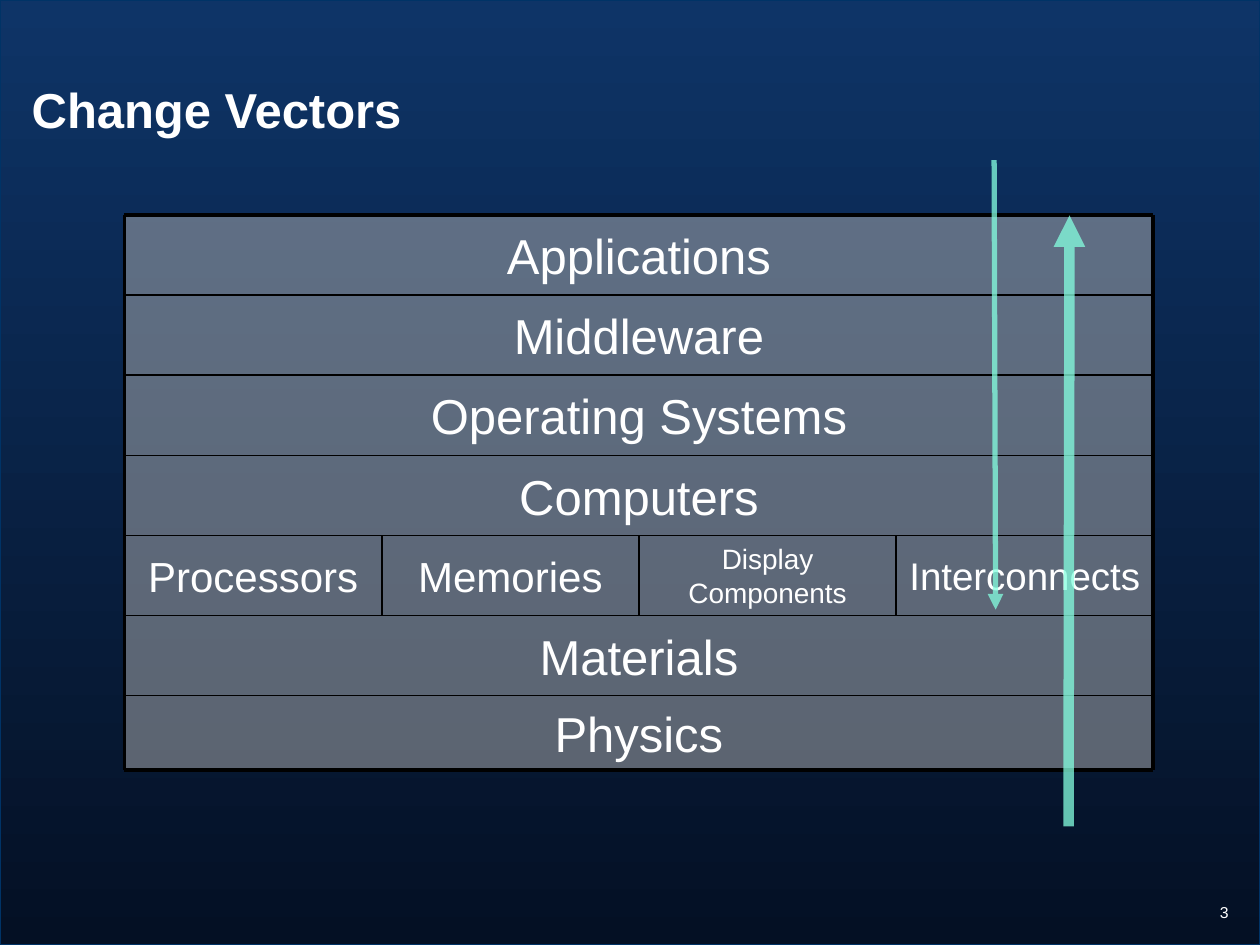
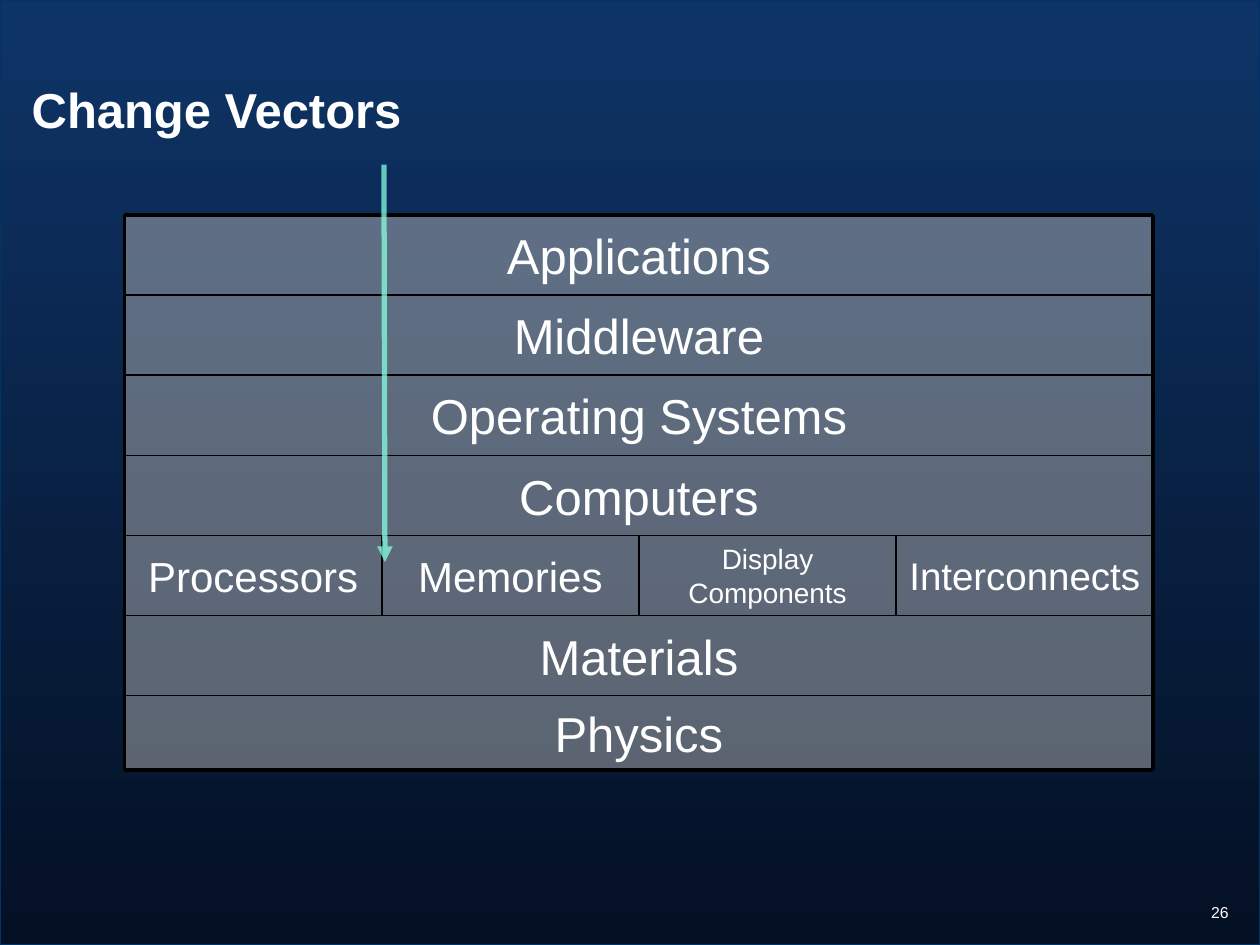
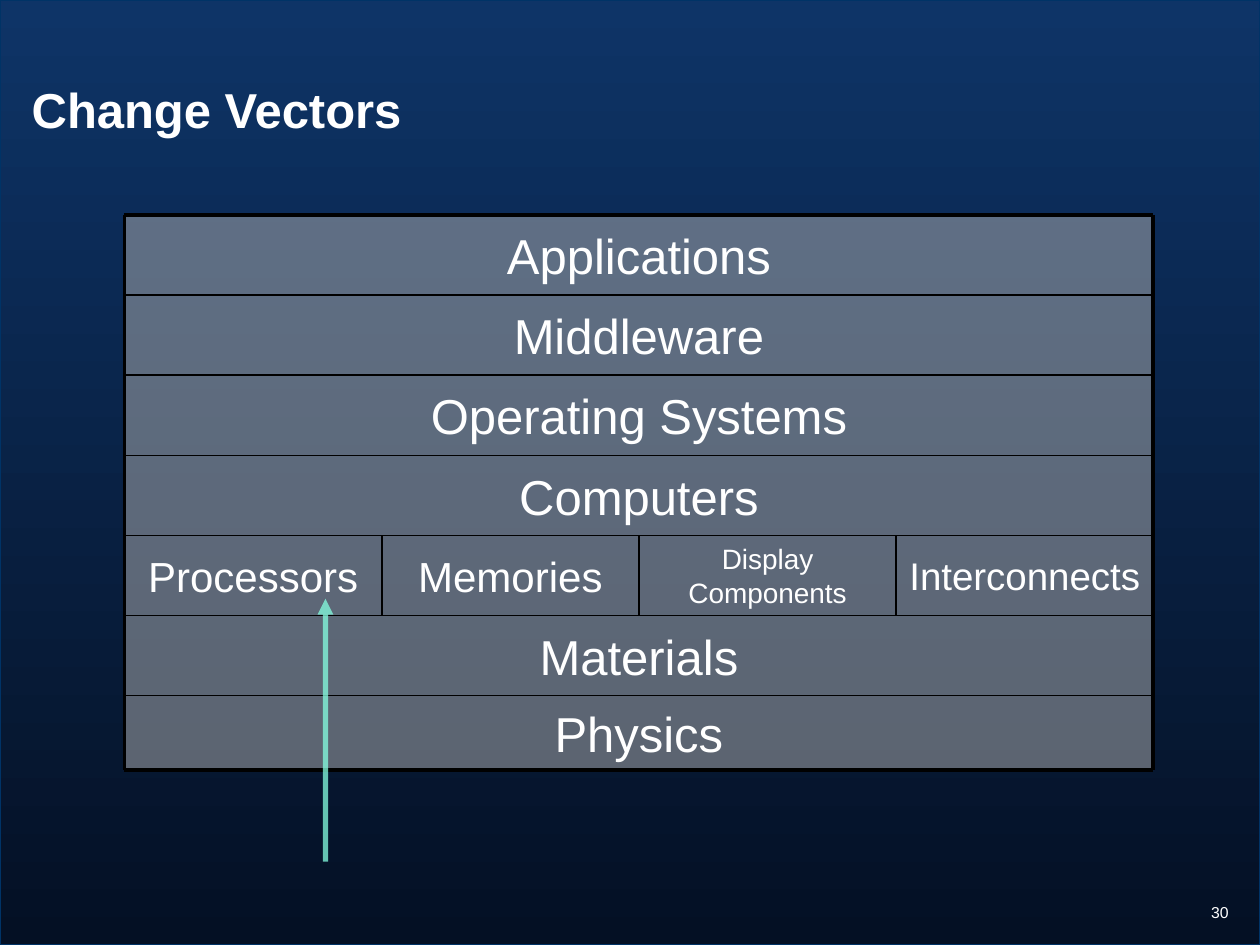
"""Builds three slides of a technology stack crossed by change vectors."""
from lxml import etree
from pptx import Presentation
from pptx import util as u
from pptx.dml.color import RGBColor
from pptx.enum import shapes, text
from pptx.oxml.ns import qn


class Theme:
    font = "Arial"
    white = RGBColor.from_string("FFFFFF")
    black = RGBColor.from_string("000000")
    sky = RGBColor.from_string("0E3467")
    night = RGBColor.from_string("041024")
    edge = RGBColor.from_string("003366")
    layer = RGBColor.from_string("B2B2B2")
    vector = RGBColor.from_string("85FFE0")
    heading, component, wide_component, small_component, number = 28, 24, 22, 16, 9
    frame, divider, hairline = 2.25, 1, 0.75


def write(box, words, size, align, anchor, side=0, end=0.13, bold=False):
    frame = box.text_frame
    frame.word_wrap = True
    frame.vertical_anchor = anchor
    frame.margin_left = frame.margin_right = u.Cm(side)
    frame.margin_top = frame.margin_bottom = u.Cm(end)
    line = frame.paragraphs[0]
    line.alignment = align
    run = line.add_run()
    run.text = words
    run.font.name = Theme.font
    run.font.size = u.Pt(size)
    run.font.bold = bold
    run.font.color.rgb = Theme.white


def draw_line(parent, start, end, weight, colour=Theme.black):
    line = parent.add_connector(shapes.MSO_CONNECTOR.STRAIGHT, *map(u.Cm, start + end))
    line.line.color.rgb = colour
    line.line.width = u.Pt(weight)
    etree.SubElement(line.element.spPr, qn("a:effectLst"))
    return line


left, right, top, physics_top, bottom = 2.51, 23.25, 4.34, 14.02, 15.53
row_step = (physics_top - top) / 6
column_step = (right - left) / 4
row_edges = [top + row_step * i for i in range(7)] + [bottom]
column_edges = [left + column_step * i for i in range(5)]

layers = [
    [("Applications", Theme.heading)],
    [("Middleware", Theme.heading)],
    [("Operating Systems", Theme.heading)],
    [("Computers", Theme.heading)],
    [("Processors", Theme.component), ("Memories", Theme.component),
     ("Display Components", Theme.small_component),
     ("Interconnects", Theme.wide_component)],
    [("Materials", Theme.heading)],
    [("Physics", Theme.heading)],
]
pages = [
    ("3", [((21.54, 16.66), (21.56, 4.34), 6), ((20.04, 3.23), (20.07, 12.29), 3)]),
    ("26", [((7.74, 3.32), (7.76, 11.33), 3)]),
    ("30", [((6.56, 17.37), (6.56, 12.07), 3)]),
]

deck = Presentation()
deck.slide_width, deck.slide_height = u.Cm(25.4), u.Cm(19.05)

for page_number, vectors in pages:
    slide = deck.slides.add_slide(deck.slide_layouts[6])
    sky = slide.background.fill
    sky.gradient()
    sky.gradient_angle = 270
    for stop, colour in zip(sky.gradient_stops, (Theme.sky, Theme.night)):
        stop.color.rgb = colour

    edge = slide.shapes.add_shape(
        shapes.MSO_SHAPE.RECTANGLE, 0, 0, deck.slide_width, deck.slide_height)
    edge.shadow.inherit = False
    edge.fill.background()
    edge.line.color.rgb = Theme.edge
    edge.line.width = u.Pt(0.5)

    number = slide.shapes.add_textbox(*map(u.Cm, (22.23, 18.19, 2.79, 0.86)))
    write(number, page_number, Theme.number, text.PP_ALIGN.RIGHT,
          text.MSO_ANCHOR.TOP, side=0.25, end=0)
    heading = slide.shapes.add_textbox(*map(u.Cm, (0.64, 1.47, 24.13, 1.47)))
    write(heading, "Change Vectors", Theme.heading, text.PP_ALIGN.LEFT,
          text.MSO_ANCHOR.MIDDLE, bold=True)

    stack = slide.shapes.add_group_shape().shapes
    for components, y, next_y in zip(layers, row_edges, row_edges[1:]):
        width = (right - left) / len(components)
        for column, (label, size) in enumerate(components):
            component = stack.add_shape(
                shapes.MSO_SHAPE.RECTANGLE,
                *map(u.Cm, (left + column * width, y, width, next_y - y)))
            component.shadow.inherit = False
            component.fill.solid()
            component.fill.fore_color.rgb = Theme.layer
            tint = component.element.spPr.xpath("./a:solidFill/a:srgbClr")[0]
            etree.SubElement(tint, qn("a:alpha"), val="50000")
            if label == "Interconnects":
                component.line.color.rgb = Theme.black
                component.line.width = u.Pt(Theme.hairline)
            else:
                component.line.fill.background()
            write(component, label, size, text.PP_ALIGN.CENTER,
                  text.MSO_ANCHOR.MIDDLE, side=0.1)

    for y in row_edges:
        weight = Theme.frame if y in (top, bottom) else Theme.divider
        draw_line(stack, (left, y), (right, y), weight)
    for x in column_edges[1:-1]:
        draw_line(stack, (x, row_edges[4]), (x, row_edges[5]), Theme.divider)
    for x in (left, right):
        draw_line(stack, (x, top), (x, bottom), Theme.frame)

    for start, end, weight in vectors:
        vector = draw_line(slide.shapes, start, end, weight, Theme.vector)
        outline = vector.element.spPr.find(qn("a:ln"))
        etree.SubElement(outline.xpath(".//a:srgbClr")[0], qn("a:alpha"), val="75000")
        etree.SubElement(outline, qn("a:tailEnd"), type="triangle")

deck.save("out.pptx")
